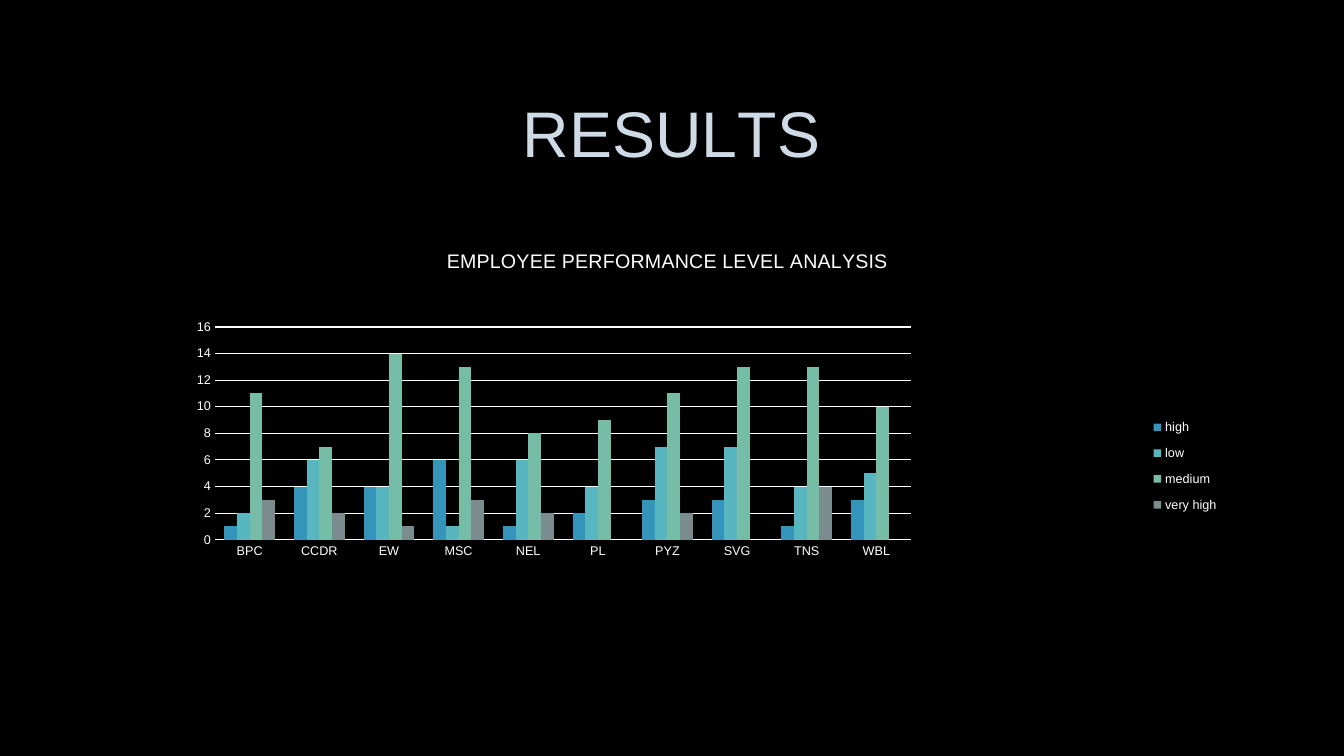
from lxml import etree
from pptx import Presentation
from pptx.chart.data import CategoryChartData
from pptx.dml.color import RGBColor
from pptx.enum.chart import XL_CHART_TYPE, XL_LEGEND_POSITION, XL_TICK_MARK
from pptx.enum.text import MSO_ANCHOR, PP_ALIGN
from pptx.oxml import parse_xml
from pptx.oxml.ns import nsdecls, qn
from pptx.util import Inches, Pt

CLUSTERED = XL_CHART_TYPE.COLUMN_CLUSTERED
LEGEND_RIGHT = XL_LEGEND_POSITION.RIGHT
NO_TICK = XL_TICK_MARK.NONE
MIDDLE = MSO_ANCHOR.MIDDLE
CENTER = PP_ALIGN.CENTER

FONT = "Arial"
COLORS = {
    "background": "000000",
    "title": "CEDBE6",
    "outline": "404040",
    "text": "FFFFFF",
    "high": "3494BA",
    "low": "58B6C0",
    "medium": "75BDA7",
    "very high": "7A8C8E",
}
TITLE_SPACING = [("R", 0), ("E", -0.4), ("S", 0.1), ("U", -0.3), ("L", -4), ("TS", 0)]
DEPARTMENTS = ["BPC", "CCDR", "EW", "MSC", "NEL", "PL", "PYZ", "SVG", "TNS", "WBL"]
LEVELS = {
    "high": [1, 4, 4, 6, 1, 2, 3, 3, 1, 3],
    "low": [2, 6, 4, 1, 6, 4, 7, 7, 4, 5],
    "medium": [11, 7, 14, 13, 8, 9, 11, 13, 13, 10],
    "very high": [3, 2, 1, 3, 2, None, 2, None, 4, None],
}


def color(name):
    """Return the named colour."""
    return RGBColor.from_string(COLORS[name])


def style_font(font, size, color_name="text"):
    """Set face, size and colour of a font."""
    font.name = FONT
    font.size = Pt(size)
    font.bold = False
    font.color.rgb = color(color_name)


def add_title(slide):
    """Place the title and set its letters with individual spacing."""
    title = slide.shapes.title
    title.left, title.top = Inches(1), Inches(0.67)
    title.width, title.height = Inches(11.32), Inches(1.38)
    title.text_frame.vertical_anchor = MIDDLE
    paragraph = title.text_frame.paragraphs[0]
    paragraph.alignment = CENTER
    paragraph.line_spacing = 0.9
    for letters, spacing in TITLE_SPACING:
        run = paragraph.add_run()
        run.text = letters
        style_font(run.font, 46, "title")
        properties = run.font._element if hasattr(run.font, "_element") else run._r.get_or_add_rPr()
        properties.set("spc", str(round(spacing * 100)))
        properties.insert(0, parse_xml(
            f'<a:ln {nsdecls("a")} w="9525"><a:solidFill><a:srgbClr val="{COLORS["outline"]}">'
            '<a:alpha val="10000"/></a:srgbClr></a:solidFill></a:ln>'))


def set_layout(element, left, top, width=None, height=None, inner=False):
    """Fix the place of a chart part as fractions of the chart."""
    layout = element.find(qn("c:layout"))
    if layout is None:
        layout = etree.Element(qn("c:layout"))
        leader = [child for child in element if child.tag in (qn("c:tx"), qn("c:legendPos"))]
        element.insert(element.index(leader[-1]) + 1 if leader else 0, layout)
    for child in list(layout):
        layout.remove(child)
    manual = etree.SubElement(layout, qn("c:manualLayout"))
    settings = [("layoutTarget", "inner" if inner else None), ("xMode", "edge"), ("yMode", "edge"),
                ("x", left), ("y", top), ("w", width), ("h", height)]
    for name, value in settings:
        if value is not None:
            etree.SubElement(manual, qn(f"c:{name}")).set("val", str(value))


def style_axis(axis):
    """Give an axis plain labels without line or ticks."""
    axis.major_tick_mark = axis.minor_tick_mark = NO_TICK
    axis.format.line.fill.background()
    style_font(axis.tick_labels.font, 9)


def add_chart_title(chart):
    """Write the chart heading."""
    frame = chart.chart_title.text_frame
    frame.text = "EMPLOYEE PERFORMANCE LEVEL ANALYSIS"
    style_font(frame.paragraphs[0].runs[0].font, 14)
    chart.chart_title.include_in_layout = False
    set_layout(chart.chart_title._element, 0.3, 0.04)


def add_legend(chart):
    """Show the performance levels at the right."""
    chart.has_legend = True
    chart.legend.position = LEGEND_RIGHT
    chart.legend.include_in_layout = False
    style_font(chart.legend.font, 9)
    set_layout(chart.legend._element, 0.91, 0.44, 0.08, 0.28)


def add_performance_chart(slide):
    """Add the clustered columns of performance levels."""
    data = CategoryChartData()
    data.categories = DEPARTMENTS
    for level, values in LEVELS.items():
        data.add_series(level, values)
    chart = slide.shapes.add_chart(
        CLUSTERED, Inches(1), Inches(2.27), Inches(11.32), Inches(4.06), data).chart
    style_font(chart.font, 10)
    add_chart_title(chart)
    add_legend(chart)
    style_axis(chart.category_axis)
    style_axis(chart.value_axis)
    value_axis = chart.value_axis
    value_axis.minimum_scale, value_axis.maximum_scale, value_axis.major_unit = 0, 16, 2
    gridline = value_axis.major_gridlines.format.line
    gridline.color.rgb = color("text")
    gridline.width = Pt(0.75)
    plot = chart.plots[0]
    plot.gap_width, plot.overlap = 150, 0
    plot.vary_by_categories = False
    for series in plot.series:
        series.format.fill.solid()
        series.format.fill.fore_color.rgb = color(series.name)
    plot_area = chart._chartSpace.chart.plotArea
    set_layout(plot_area, 0.1, 0.24, 0.61, 0.52, inner=True)


def main():
    """Build and save the results slide."""
    presentation = Presentation()
    presentation.slide_width, presentation.slide_height = Inches(13.33), Inches(7.5)
    slide = presentation.slides.add_slide(presentation.slide_layouts[5])
    slide.background.fill.solid()
    slide.background.fill.fore_color.rgb = color("background")
    add_title(slide)
    add_performance_chart(slide)
    presentation.save("out.pptx")


if __name__ == "__main__":
    main()
